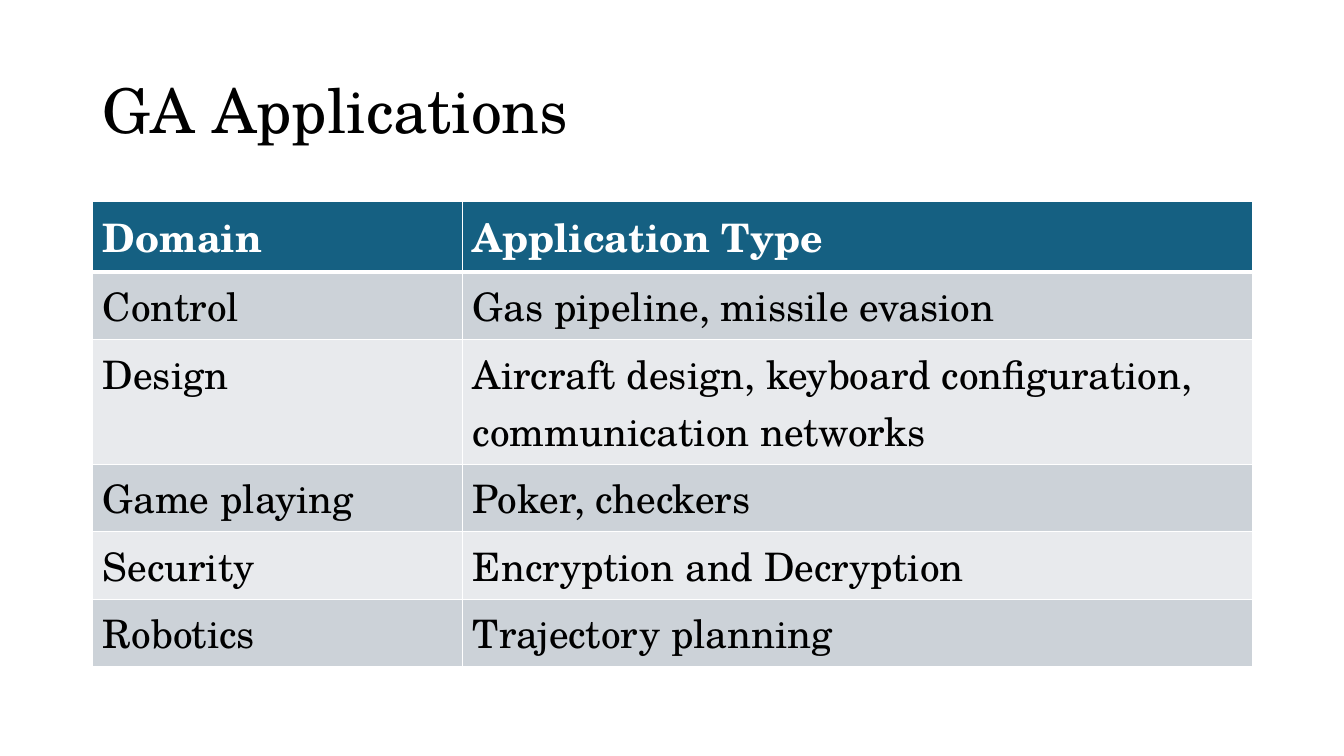
from pptx import Presentation
from pptx.dml.color import RGBColor as RGB
from pptx.enum.text import MSO_ANCHOR as Anchor, PP_ALIGN as Align
from pptx.oxml import parse_xml
from pptx.oxml.ns import nsdecls
from pptx.util import Inches, Pt

HUES = {"ink": "000000", "white": "FFFFFF", "head": "156082",
        "dark": "CCD2D8", "light": "E8EAED"}
FONT = "TeX Gyre Schola"
ROWS = [
    ("Domain", "Application Type"),
    ("Control", "Gas pipeline, missile evasion"),
    ("Design", "Aircraft design, keyboard configuration, communication networks"),
    ("Game playing", "Poker, checkers"),
    ("Security", "Encryption and Decryption"),
    ("Robotics", "Trajectory planning"),
]


class Deck:
    def __init__(self):
        self.prs = Presentation()
        self.prs.slide_width = Inches(13.33)
        self.prs.slide_height = Inches(7.5)
        self.slide = self.prs.slides.add_slide(self.prs.slide_layouts[5])

    def style(self, frame, size, hue, bold=False):
        for para in frame.paragraphs:
            para.alignment = Align.LEFT
            for run in para.runs:
                run.font.name = FONT
                run.font.size = Pt(size)
                run.font.bold = bold
                run.font.color.rgb = RGB.from_string(HUES[hue])

    def title(self, text, left, top, width, height):
        box = self.slide.shapes.title
        box.left, box.top = Inches(left), Inches(top)
        box.width, box.height = Inches(width), Inches(height)
        frame = box.text_frame
        frame.text = text
        frame.word_wrap = True
        frame.vertical_anchor = Anchor.MIDDLE
        frame.paragraphs[0].line_spacing = 0.9
        self.style(frame, 44, "ink")

    def edges(self, cell, top, base):
        props = cell._tc.get_or_add_tcPr()
        sides = {"lnL": 1, "lnR": 1, "lnT": top, "lnB": base}
        for spot, (side, width) in enumerate(sides.items()):
            props.insert(spot, parse_xml(
                f'<a:{side} {nsdecls("a")} w="{Pt(width)}"><a:solidFill>'
                f'<a:srgbClr val="{HUES["white"]}"/></a:solidFill></a:{side}>'))

    def table(self, rows, left, top, widths, height, step):
        shape = self.slide.shapes.add_table(
            len(rows), len(widths), Inches(left), Inches(top),
            Inches(sum(widths)), Inches(height))
        grid = shape.table
        for col, width in zip(grid.columns, widths):
            col.width = Inches(width)
        for r, texts in enumerate(rows):
            grid.rows[r].height = Inches(step)
            fill = "head" if r == 0 else "dark" if r % 2 else "light"
            for c, text in enumerate(texts):
                cell = grid.cell(r, c)
                cell.text_frame.text = text
                cell.fill.solid()
                cell.fill.fore_color.rgb = RGB.from_string(HUES[fill])
                self.style(cell.text_frame, 28, "ink" if r else "white", r == 0)
                self.edges(cell, 3 if r == 1 else 1, 1 if r else 3)
        shape.height = Inches(height)


def main():
    deck = Deck()
    deck.title("GA Applications", 0.92, 0.4, 11.5, 1.45)
    deck.table(ROWS, 0.92, 2, (3.67, 7.83), 3.87, 0.41)
    deck.prs.save("out.pptx")


if __name__ == "__main__":
    main()
